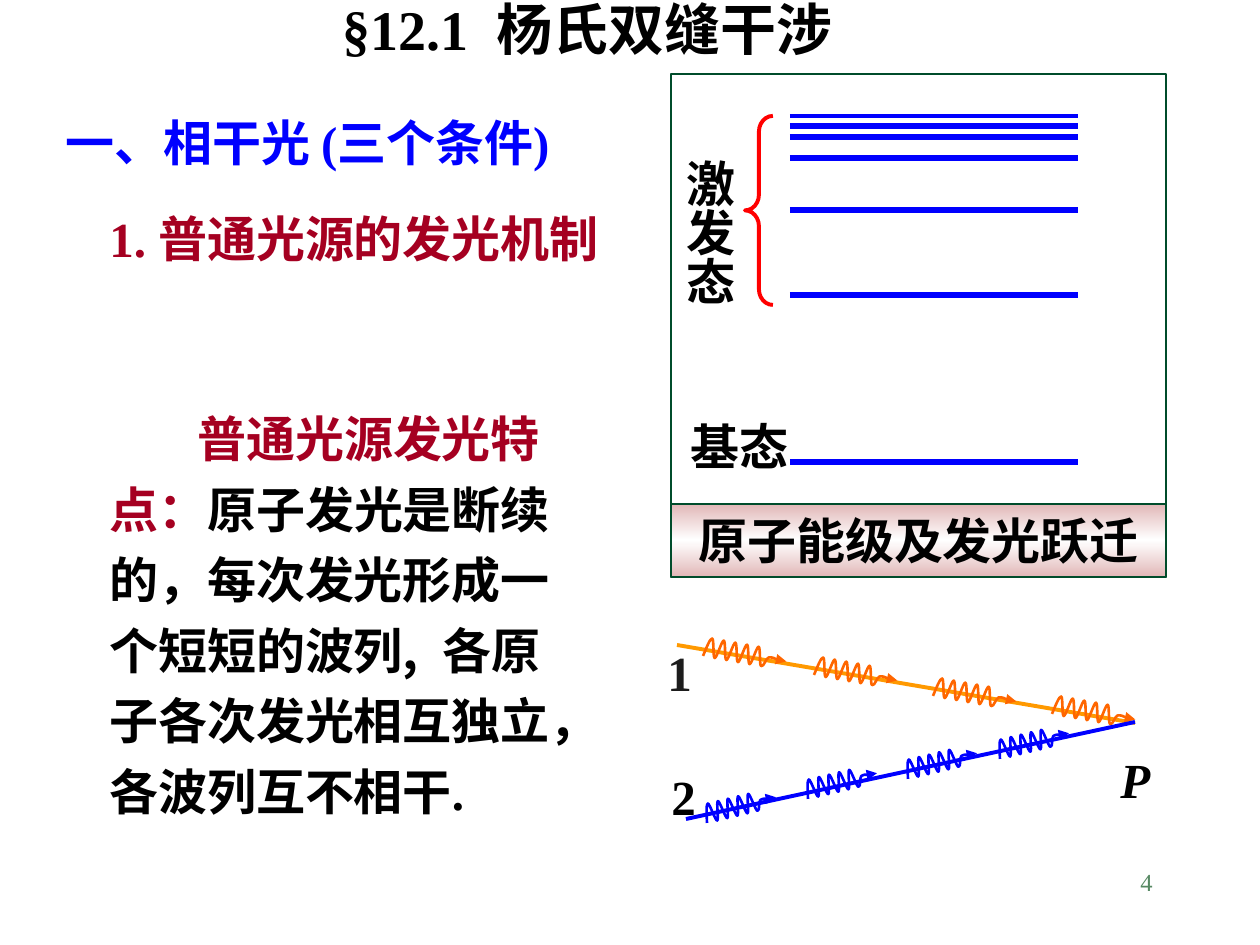
from copy import deepcopy
from math import cos, radians, sin

from lxml import etree
from pptx import Presentation
from pptx.dml.color import RGBColor
from pptx.enum.shapes import MSO_CONNECTOR, MSO_SHAPE
from pptx.enum.text import MSO_ANCHOR, PP_ALIGN
from pptx.oxml.ns import qn
from pptx.util import Emu, Pt

LINE = MSO_CONNECTOR.STRAIGHT
RECT, BRACE = MSO_SHAPE.RECTANGLE, MSO_SHAPE.LEFT_BRACE
LEFT, MID, RIGHT = PP_ALIGN.LEFT, PP_ALIGN.CENTER, PP_ALIGN.RIGHT
TOP, MIDDLE = MSO_ANCHOR.TOP, MSO_ANCHOR.MIDDLE

BLACK, BLUE, RED, GREEN = "000000", "0000FF", "A50021", "004C2B"
LATIN, ASIAN = "Times New Roman", "Noto Sans CJK SC"

TITLE = [("§12.1", BLACK), (" ", BLACK, LATIN, 8), ("杨氏双缝干涉", BLACK)]
CAPTION = "原子能级及发光跃迁"
LABELS = [
    ("一、相干光 (三个条件)", (53, 106, 601, 72), {"color": BLUE}),
    ("1. 普通光源的发光机制", (97, 191, 726, 83), {"color": RED, "gap": 1.2}),
    ("基态", (678, 410, 234, 72), {}),
    ("激发态", (661, 147, 84, 221), {"turn": True}),
    ("P", (1108, 743, 55, 72), {"italic": True}),
    ("2", (659, 760, 50, 72), {}),
    ("1", (655, 636, 62, 72), {"color": "1C1C1C"}),
    ("4", (903, 861, 262, 63),
     {"size": 14, "color": "578963", "bold": False, "align": RIGHT}),
]
BODY = [
    ("普通光源发光特点：", RED),
    ("原子发光是断续的，每次发光形成一个短短的波列", BLACK),
    (",", BLACK, ASIAN),
    (" ", BLACK, ASIAN, 7),
    ("各原子各次发光相互独立，各波列互不相干.", BLACK),
]
LEVELS = [(116, 2.25), (126, 3), (137, 3), (158, 3), (210, 3), (295, 3), (462, 3)]
RAYS = [
    {"ends": (677, 645, 1135, 723), "color": "FF9900", "wave": "FF6600",
     "tilt": 10, "stretch": 1,
     "starts": [(703, 656), (814, 675), (933, 696), (1052, 714)]},
    {"ends": (686, 819, 1135, 722), "color": BLUE, "wave": BLUE,
     "tilt": -13.4, "stretch": 0.88,
     "starts": [(707, 823), (808, 799), (908, 779), (1000, 759)]},
]
PERIOD, CYCLES, CREST = 11.8, 5, -18.7


def px(n):
    return Emu(round(n * 914400 / 126))


def box(nums):
    return [px(n) for n in nums]


def rgb(code):
    return RGBColor.from_string(code)


def write(frame, parts, size=28, bold=True, italic=False, align=LEFT,
          gap=None, anchor=TOP, indent=0):
    frame.word_wrap = True
    frame.vertical_anchor = anchor
    para = frame.paragraphs[0]
    para.alignment = align
    if gap:
        para.line_spacing = gap
    if indent:
        para._p.get_or_add_pPr().set("indent", str(px(indent)))
    for text, color, face, space in ((*part, LATIN, 0)[:4] if len(part) != 3
                                     else (*part, 0) for part in parts):
        run = para.add_run()
        run.text = text
        font = run.font
        font.size, font.bold, font.italic = Pt(size), bold, italic
        font.color.rgb = rgb(color)
        font.name = face
        if space:
            run._r.rPr.set("spc", str(space * 100))
        etree.SubElement(run._r.rPr, qn("a:ea"), typeface=ASIAN)


def label(text, place, color=BLACK, turn=False, **style):
    frame = shapes.add_textbox(*box(place)).text_frame
    write(frame, [(text, color)], **style)
    if turn:
        frame._txBody.bodyPr.set("vert", "eaVert")


def paint(item, color, width):
    item.shadow.inherit = False
    item.fill.background()
    item.line.color.rgb, item.line.width = rgb(color), Pt(width)


def shape(kind, place, color, width):
    item = shapes.add_shape(kind, *box(place))
    paint(item, color, width)
    return item


def stroke(ends, color, width):
    item = shapes.add_connector(LINE, *box(ends))
    item.line.color.rgb, item.line.width = rgb(color), Pt(width)
    etree.SubElement(item._element.spPr, qn("a:effectLst"))


def profile():
    points = [(0, 0), (2, -9), (4, CREST), (6, CREST)]
    for n in range(CYCLES):
        x = 6 + n * PERIOD
        low, top = x + PERIOD / 2, x + PERIOD
        points += [(x + 2, CREST), (low - 2, 0), (low, 0)]
        if n < CYCLES - 1:
            points += [(low + 2, 0), (top - 2, CREST), (top, CREST)]
    return points + [(62, 0), (62, -8), (65, -10), (69, -11), (73, -9),
                     (76, -9), (79, -9), (81, -9), (83, -9)]


def wave(start, tilt, stretch, color):
    x, y = start
    c, s = cos(radians(tilt)), sin(radians(tilt))
    spots = [(px(x + u * stretch * c - v * s), px(y + u * stretch * s + v * c))
             for u, v in profile()]
    pen = shapes.build_freeform(*spots[0])
    pen.add_line_segments(spots[1:], close=False)
    item = pen.convert_to_shape()
    paint(item, color, 1.5)
    etree.SubElement(item.line._get_or_add_ln(), qn("a:tailEnd"), type="triangle")
    steps = list(item._element.iter(qn("a:lnTo")))
    track = steps[0].getparent()
    for n in range(0, len(steps), 3):
        curve = etree.SubElement(track, qn("a:cubicBezTo"))
        for step in steps[n:n + 3]:
            curve.append(step[0])
            track.remove(step)


deck = Presentation()
deck.slide_width, deck.slide_height = px(1260), px(945)
slide = deck.slides.add_slide(deck.slide_layouts[5])
shapes = slide.shapes

title = shapes.title
title.left, title.top, title.width, title.height = box((220, -12, 736, 79))
write(title.text_frame, TITLE, size=32, align=MID)

shape(RECT, (671, 74, 495, 503), GREEN, 0.75)
for y, width in LEVELS:
    stroke((790, y, 1078, y), BLUE, width)

banner = shape(RECT, (671, 504, 495, 73), GREEN, 0.75)
banner.fill.gradient()
banner.fill.gradient_angle = 90
stops = banner._element.spPr.find(".//" + qn("a:gsLst"))
stops.append(deepcopy(stops[0]))
for n, (stop, color) in enumerate(zip(banner.fill.gradient_stops,
                                      ("E1B7B7", "FFFFFF", "E1B7B7"))):
    stop.position, stop.color.rgb = n / 2, rgb(color)
write(banner.text_frame, [(CAPTION, BLACK)], align=MID)

brace = shape(BRACE, (745, 116, 28, 189), "FF0000", 2.25)
brace.adjustments[0] = 0.56

for ray in RAYS:
    stroke(ray["ends"], ray["color"], 2.25)
    for start in ray["starts"]:
        wave(start, ray["tilt"], ray["stretch"], ray["wave"])

for text, place, style in LABELS:
    label(text, place, **style)
body = shapes.add_textbox(*box((97, 390, 496, 437)))
write(body.text_frame, BODY, gap=1.2, anchor=MIDDLE, indent=88)

deck.save("out.pptx")
